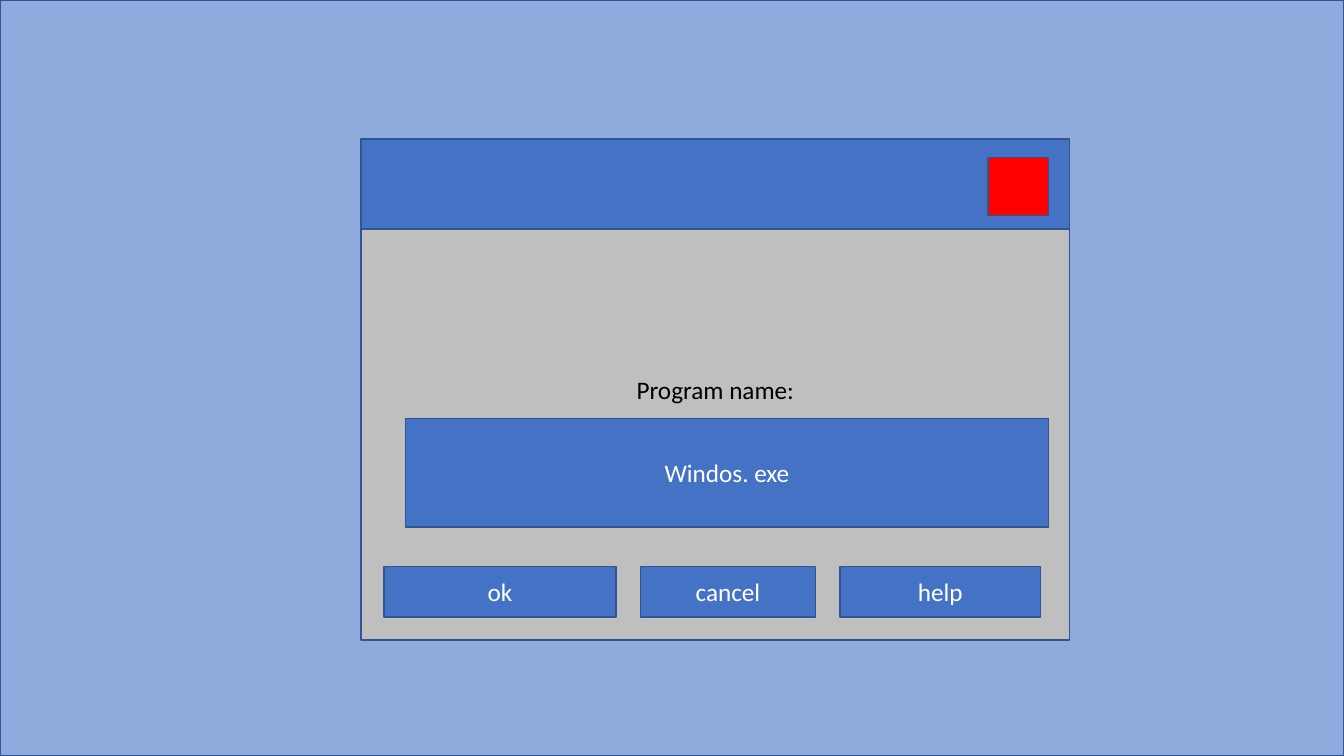
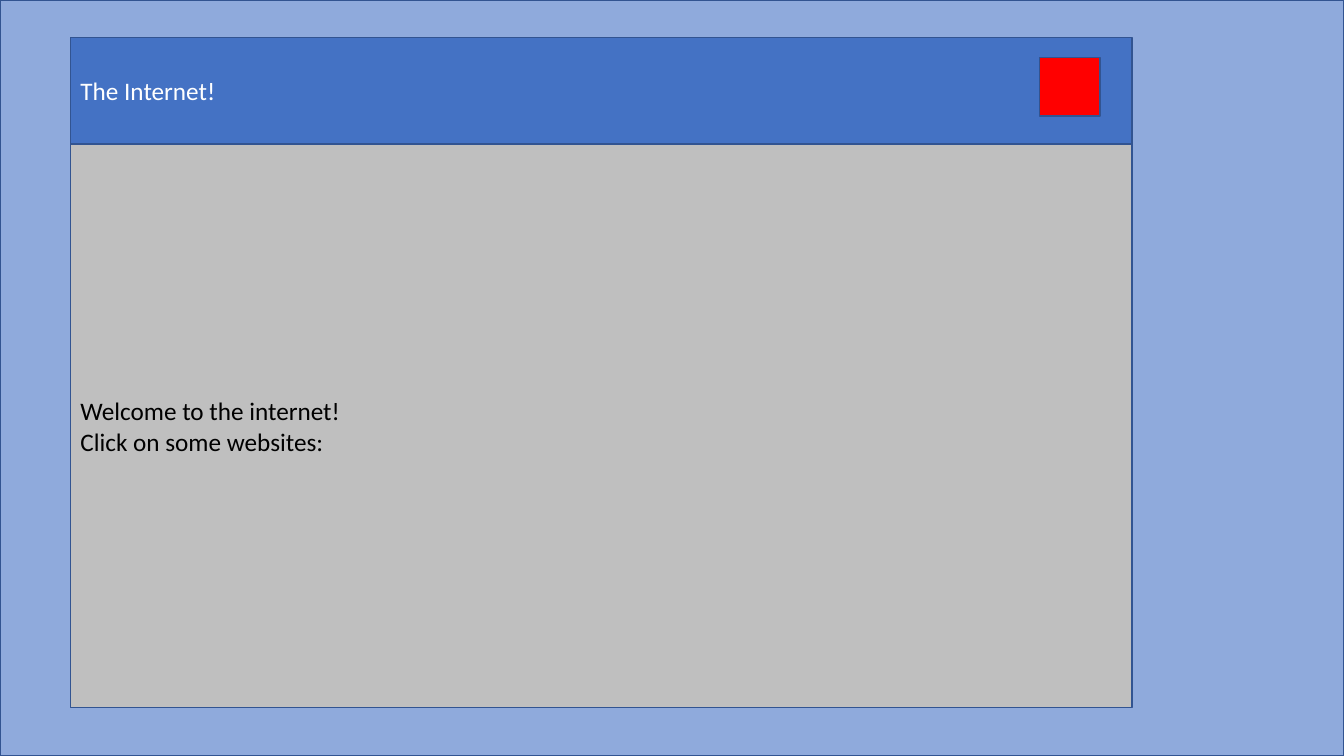
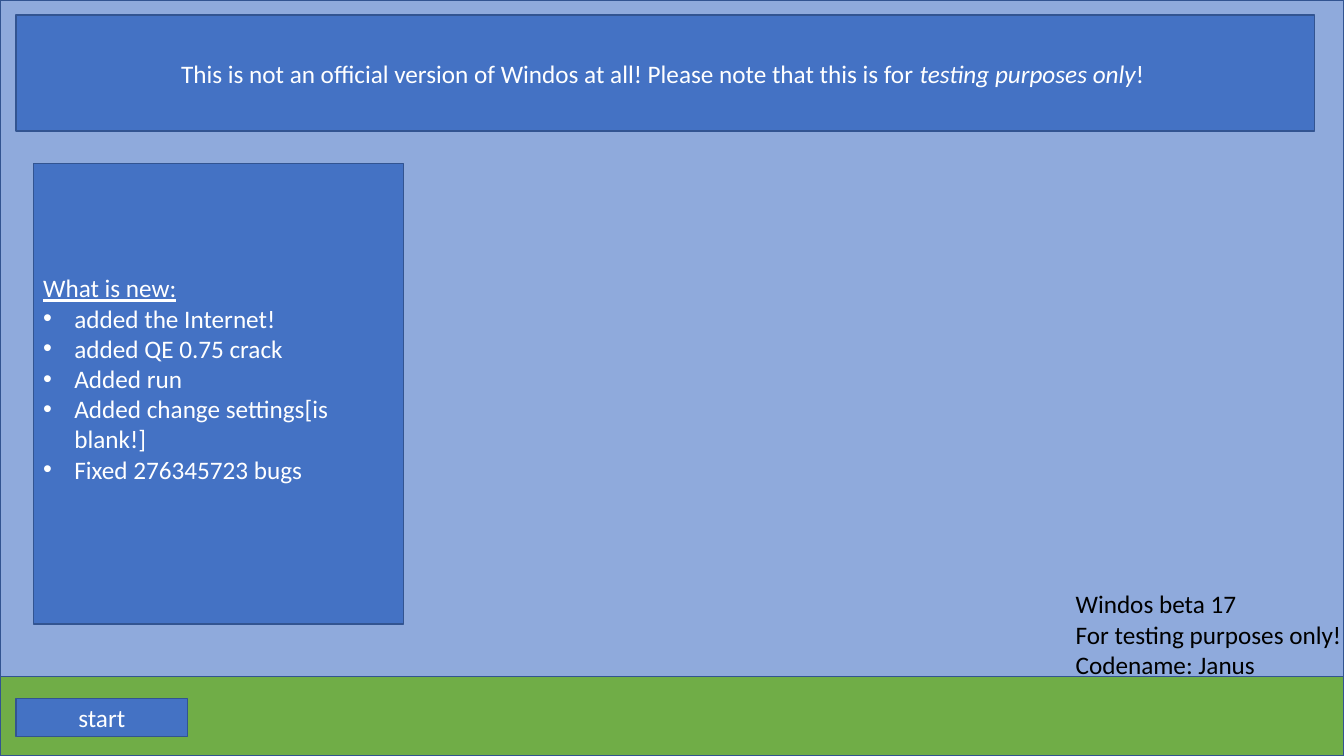
from lxml import etree
from pptx import Presentation
from pptx.dml.color import RGBColor
from pptx.enum import shapes, text
from pptx.oxml.ns import qn
from pptx.util import Pt

SCALE = 9144
WIDE, HIGH = 1333, 750
SKY = RGBColor(0x8F, 0xAA, 0xDC)
BLUE = RGBColor(0x44, 0x72, 0xC4)
EDGE = RGBColor(0x32, 0x54, 0x91)
GREY = RGBColor(0xBF, 0xBF, 0xBF)
RED = RGBColor(0xFF, 0x00, 0x00)
GREEN = RGBColor(0x70, 0xAD, 0x47)
BLACK = RGBColor(0x00, 0x00, 0x00)
WHITE = RGBColor(0xFF, 0xFF, 0xFF)
MID, LEFT = text.PP_ALIGN.CENTER, text.PP_ALIGN.LEFT


def px(*sizes):
    """Turn px into EMU."""
    return [size * SCALE for size in sizes]


def bullet(para):
    """Give a paragraph a bullet and a hanging indent."""
    props = para._p.get_or_add_pPr()
    props.set("marL", str(31 * SCALE))
    props.set("indent", str(-31 * SCALE))
    etree.SubElement(props, qn("a:buFont")).set("typeface", "Arial")
    etree.SubElement(props, qn("a:buChar")).set("char", "•")


def write(shape, lines, color=WHITE, align=MID, low=5):
    """Write lines, each a list of (words, format) runs, above a bottom inset."""
    frame = shape.text_frame
    frame.word_wrap = True
    frame.margin_bottom = low * SCALE
    for i, line in enumerate(lines):
        para = frame.paragraphs[0] if i == 0 else frame.add_paragraph()
        para.alignment = align
        for words, style in [(line, {})] if isinstance(line, str) else line:
            run = para.add_run()
            run.text = words
            run.font.color.rgb = color
            for key, value in {"name": "Calibri", "size": Pt(18), **style}.items():
                setattr(run.font, key, value)


def box(slide, x, y, w, h, fill=BLUE, lines=(), **style):
    """Draw an edged rectangle with optional text."""
    shape = slide.shapes.add_shape(shapes.MSO_SHAPE.RECTANGLE, *px(x, y, w, h))
    shape.shadow.inherit = False
    shape.fill.solid()
    shape.fill.fore_color.rgb = fill
    shape.line.color.rgb = EDGE
    shape.line.width = Pt(1)
    shape.text_frame.vertical_anchor = text.MSO_ANCHOR.MIDDLE
    write(shape, lines, **style)
    return shape


def desk(deck):
    """Add a slide with the desktop behind it."""
    slide = deck.slides.add_slide(deck.slide_layouts[6])
    box(slide, 0, 0, WIDE, HIGH, SKY)
    return slide


def window(slide, x, y, w, bar, body, close, lines, title=(), **style):
    """Draw a window: grey body, title bar and close button."""
    box(slide, x, y + bar, w, body, GREY, lines, color=BLACK, **style)
    box(slide, x, y, w, bar, lines=title, align=LEFT)
    box(slide, *close, 60, 58, RED)


def run_box(deck):
    """Build the dialog that runs a program."""
    slide = desk(deck)
    window(slide, 358, 138, 703, 89, 408, (980, 156), ["Program name:"], low=95)
    box(slide, 402, 415, 638, 108, lines=["Windos. exe"])
    x, gap = 381, 24
    for label, w in (("ok", 230), ("cancel", 174), ("help", 199)):
        box(slide, x, 562, w, 50, lines=[label])
        x += w + gap


def web(deck):
    """Build the browser window."""
    window(desk(deck), 70, 37, 1053, 106, 559, (1031, 57),
           ["Welcome to the internet!", "Click on some websites:"],
           ["The Internet!"], align=LEFT)


def home(deck):
    """Build the desktop with its notices and task bar."""
    slide = desk(deck)
    box(slide, 0, 671, WIDE, 79, GREEN)
    box(slide, 16, 693, 170, 38, lines=["start"])
    label = slide.shapes.add_textbox(*px(1057, 579, 317, 101))
    write(label, ["Windos beta 17", "For testing purposes only!", "Codename: Janus"],
          BLACK, LEFT)
    box(slide, 16, 15, 1288, 115, lines=[[
        ("This is not an official version of Windos at all! "
         "Please note that this is for ", {}),
        ("testing purposes only", {"italic": True}), ("! ", {})]])
    news = box(slide, 33, 162, 367, 457, align=LEFT, low=35, lines=[
        [("What is new:", {"underline": True})],
        "added the Internet!", "added QE 0.75 crack", "Added run",
        "Added change settings[is blank!]", "Fixed 276345723 bugs"])
    for para in news.text_frame.paragraphs[1:]:
        bullet(para)


def main():
    """Build and save the deck."""
    deck = Presentation()
    deck.slide_width, deck.slide_height = px(WIDE, HIGH)
    for build in (run_box, web, home):
        build(deck)
    deck.save("out.pptx")


if __name__ == "__main__":
    main()
